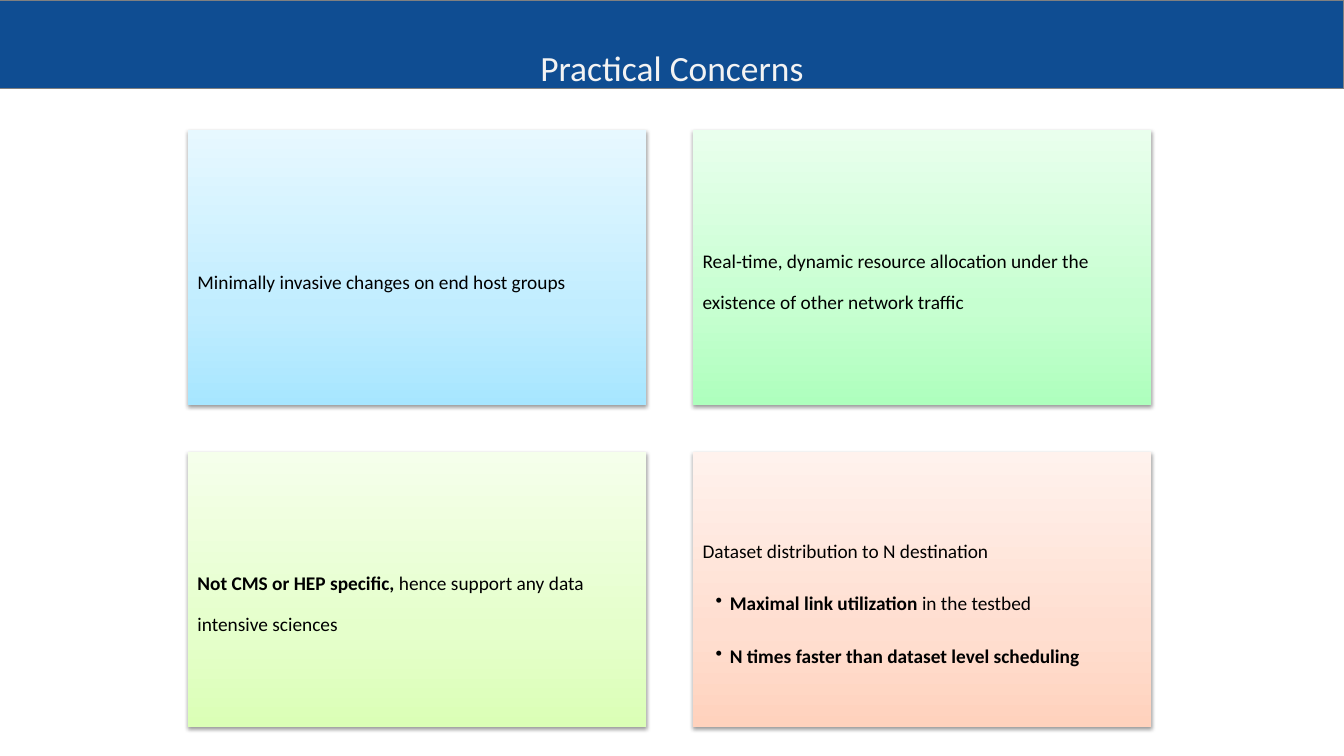
from pptx import Presentation, oxml
from pptx.dml.color import RGBColor
from pptx.enum import shapes, text
from pptx.oxml import ns
from pptx.util import Pt

PX = 9144  # 100 px to the inch
INK = {"bar": "0F4D92", "rule": "808080", "title": "F3F3F3", "body": "000000"}
FADES = {
    "blue": ["A7E6FF", "C1EDFF", "E7F8FF"],
    "mint": ["AEFFBD", "C6FFD0", "E9FFED"],
    "lime": ["DBFFB6", "E5FFCB", "F5FFEB"],
    "peach": ["FFD2BD", "FFDED0", "FFF2ED"],
}
# Each card: fade name, then paragraphs of (bulleted, [(words, bold), ...])
CARDS = [
    ("blue", [(False, [("Minimally invasive changes on end host groups", False)])]),
    ("mint", [(False, [("Real-time, dynamic resource allocation under the "
                        "existence of other network traffic", False)])]),
    ("lime", [(False, [("Not CMS or HEP specific, ", True),
                       ("hence support any data intensive sciences", False)])]),
    ("peach", [(False, [("Dataset distribution to N destination", False)]),
               (True, [("Maximal link utilization ", True), ("in the testbed", False)]),
               (True, [("N times faster than dataset level scheduling", True)])]),
]
LEFT, TOP, WIDE, HIGH = 186, 129, 455, 273
STEP_X, STEP_Y = 501, 319
FRAME = {"word_wrap": True, "vertical_anchor": text.MSO_ANCHOR.MIDDLE,
         "margin_left": 10 * PX, "margin_right": 10 * PX,
         "margin_top": 20 * PX, "margin_bottom": 10 * PX}
PARA = {"alignment": text.PP_ALIGN.LEFT, "line_spacing": 1.76, "space_after": Pt(8.4)}


def write(para, words, size, ink, bold=False):
    run = para.add_run()
    run.text = words
    for key, val in {"name": "Calibri", "size": Pt(size), "bold": bold}.items():
        setattr(run.font, key, val)
    run.font.color.rgb = RGBColor.from_string(ink)


def shade(card, fade):
    """Give a card its three-stop vertical fade and soft drop shadow."""
    stops = "".join(f'<a:gs pos="{pos}"><a:srgbClr val="{ink}"/></a:gs>'
                    for pos, ink in zip((0, 35000, 100000), fade))
    props = card._element.spPr
    props.find(ns.qn("a:ln")).addprevious(oxml.parse_xml(
        f'<a:gradFill {ns.nsdecls("a")} rotWithShape="1"><a:gsLst>{stops}</a:gsLst>'
        '<a:lin ang="16200000" scaled="0"/></a:gradFill>'))
    props.find(ns.qn("a:effectLst")).append(oxml.parse_xml(
        f'<a:outerShdw {ns.nsdecls("a")} blurRad="{Pt(3.1)}" dist="{Pt(1.6)}" '
        'dir="5400000" rotWithShape="0"><a:srgbClr val="000000">'
        '<a:alpha val="38000"/></a:srgbClr></a:outerShdw>'))


deck = Presentation()
deck.slide_width, deck.slide_height = 1333 * PX, 750 * PX
slide = deck.slides.add_slide(deck.slide_layouts[6])
RECT = shapes.MSO_SHAPE.RECTANGLE

# Title bar
bar = slide.shapes.add_shape(RECT, 0, 0, 1333 * PX, 88 * PX)
bar.shadow.inherit = False
bar.fill.solid()
bar.fill.fore_color.rgb = RGBColor.from_string(INK["bar"])
bar.line.color.rgb = RGBColor.from_string(INK["rule"])
bar.line.width = Pt(0.75)

title = slide.shapes.add_textbox(0, PX, 1333 * PX, 84 * PX).text_frame
for key, val in {"word_wrap": True, "margin_top": 48 * PX, "margin_bottom": 0,
                 "vertical_anchor": text.MSO_ANCHOR.TOP}.items():
    setattr(title, key, val)
title.paragraphs[0].alignment = text.PP_ALIGN.CENTER
write(title.paragraphs[0], "Practical Concerns", 25.3, INK["title"])

# Two by two cards
for i, (fade, paras) in enumerate(CARDS):
    row, col = divmod(i, 2)
    card = slide.shapes.add_shape(RECT, (LEFT + col * STEP_X) * PX,
                                  (TOP + row * STEP_Y) * PX, WIDE * PX, HIGH * PX)
    card.shadow.inherit = False
    card.line.fill.background()
    shade(card, FADES[fade])
    frame = card.text_frame
    for key, val in FRAME.items():
        setattr(frame, key, val)
    for j, (dot, runs) in enumerate(paras):
        para = frame.add_paragraph() if j else frame.paragraphs[0]
        for key, val in PARA.items():
            setattr(para, key, val)
        if dot:
            props = para._p.get_or_add_pPr()
            props.set("marL", str(27 * PX))
            props.set("indent", str(-14 * PX))
            props.append(oxml.parse_xml(f'<a:buChar {ns.nsdecls("a")} char="•"/>'))
        for words, bold in runs:
            write(para, words, 13.8, INK["body"], bold)

deck.save("out.pptx")
